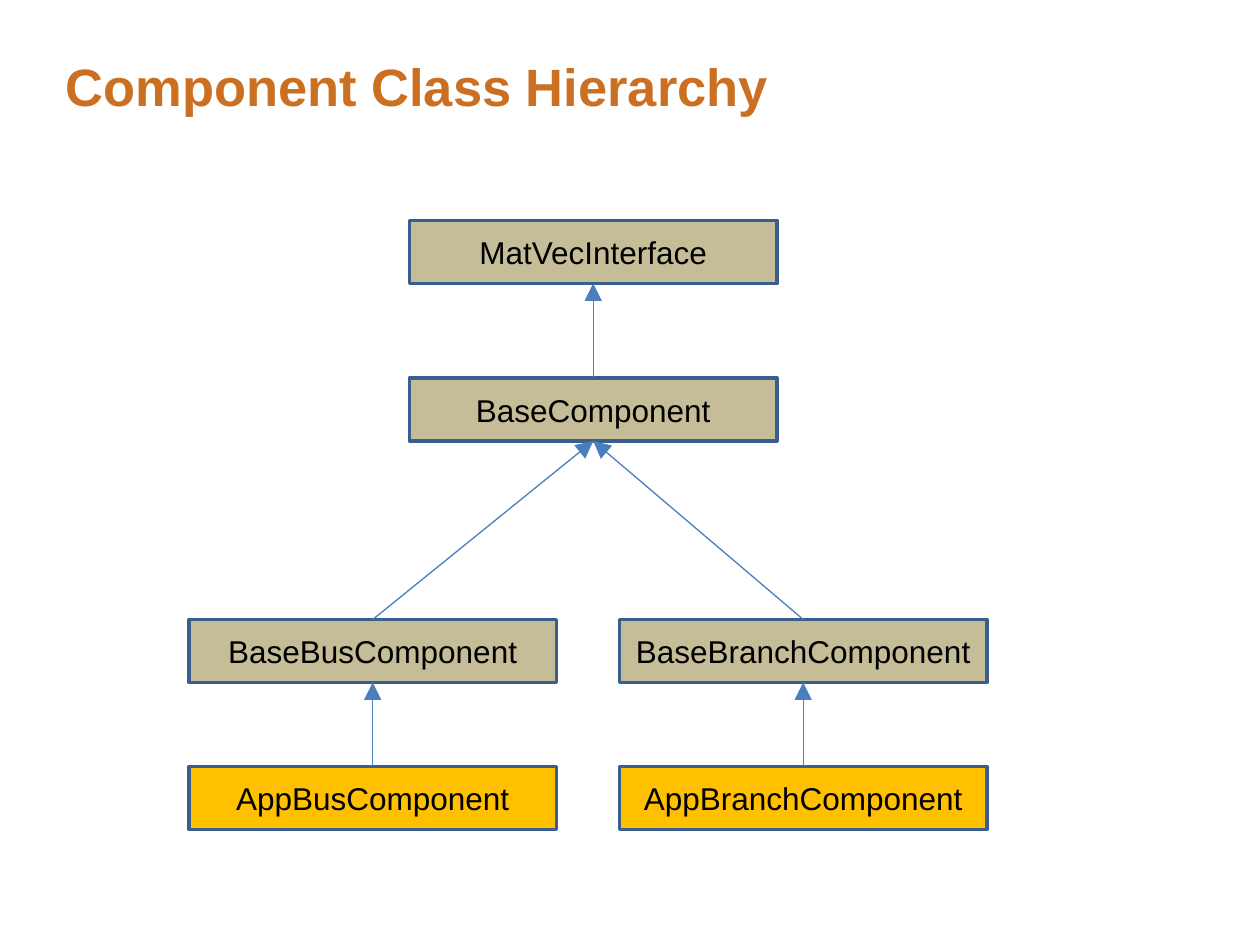
import dataclasses

import pptx
import pptx.dml.color
import pptx.enum.shapes
import pptx.enum.text
import pptx.oxml
import pptx.oxml.ns
import pptx.slide
import pptx.shapes.autoshape
import pptx.text.text
import pptx.util

Pt = pptx.util.Pt
HUES = {
    "title": "CB7023",
    "base": "C4BD97",
    "app": "FFC000",
    "edge": "3A5F8C",
    "arrow": "4B7EBC",
    "text": "000000",
}
WIDTH, HEIGHT = 210, 36
LEFT, MID, RIGHT = 108, 234, 354
TOP, BOTTOM = 0, 2


@dataclasses.dataclass
class Box:
    text: str
    left: float
    top: float
    fill: str
    parent: str = ""


BOXES = [
    Box("MatVecInterface", MID, 126, "base"),
    Box("BaseComponent", MID, 216, "base", "MatVecInterface"),
    Box("BaseBusComponent", LEFT, 354, "base", "BaseComponent"),
    Box("BaseBranchComponent", RIGHT, 354, "base", "BaseComponent"),
    Box("AppBusComponent", LEFT, 438, "app", "BaseBusComponent"),
    Box("AppBranchComponent", RIGHT, 438, "app", "BaseBranchComponent"),
]


def hue(name: str) -> pptx.dml.color.RGBColor:
    return pptx.dml.color.RGBColor.from_string(HUES[name])


def apply(target: object, values: dict) -> None:
    for key, value in values.items():
        setattr(target, key, value)


def write(line: pptx.text.text._Paragraph, text: str, size: float,
          color: str, bold: bool = False) -> None:
    run = line.add_run()
    run.text = text
    apply(run.font, {"name": "Arial", "size": Pt(size), "bold": bold})
    run.font.color.rgb = hue(color)


def draw_title(slide: pptx.slide.Slide, text: str) -> None:
    title = slide.shapes.title
    apply(title, {"left": Pt(37.5), "top": Pt(36.4), "width": Pt(646), "height": Pt(78)})
    frame = title.text_frame
    apply(frame, {
        "margin_left": 0, "margin_top": 0, "margin_right": 0, "margin_bottom": 0,
        "word_wrap": True,
        "auto_size": pptx.enum.text.MSO_AUTO_SIZE.NONE,
        "vertical_anchor": pptx.enum.text.MSO_ANCHOR.TOP,
    })
    line = frame.paragraphs[0]
    apply(line, {"alignment": pptx.enum.text.PP_ALIGN.LEFT, "line_spacing": 0.85})
    write(line, text, 30, "title", True)


def draw_box(slide: pptx.slide.Slide, box: Box) -> pptx.shapes.autoshape.Shape:
    shape = slide.shapes.add_shape(
        pptx.enum.shapes.MSO_SHAPE.RECTANGLE,
        Pt(box.left), Pt(box.top), Pt(WIDTH), Pt(HEIGHT))
    shape.shadow.inherit = False
    shape.fill.solid()
    shape.fill.fore_color.rgb = hue(box.fill)
    shape.line.color.rgb = hue("edge")
    shape.line.width = Pt(2)
    apply(shape.text_frame, {
        "word_wrap": True, "vertical_anchor": pptx.enum.text.MSO_ANCHOR.MIDDLE})
    line = shape.text_frame.paragraphs[0]
    line.alignment = pptx.enum.text.PP_ALIGN.CENTER
    write(line, box.text, 18, "text")
    return shape


def draw_arrow(slide: pptx.slide.Slide, child: pptx.shapes.autoshape.Shape,
               parent: pptx.shapes.autoshape.Shape) -> None:
    arrow = slide.shapes.add_connector(
        pptx.enum.shapes.MSO_CONNECTOR.STRAIGHT,
        child.left + child.width // 2, child.top,
        parent.left + parent.width // 2, parent.top + parent.height)
    arrow.begin_connect(child, TOP)
    arrow.end_connect(parent, BOTTOM)
    arrow.line.color.rgb = hue("arrow")
    arrow.line.width = Pt(0.75)
    space = pptx.oxml.ns.nsdecls("a")
    props = arrow._element.spPr
    props.get_or_add_ln().append(pptx.oxml.parse_xml(
        f'<a:tailEnd {space} type="triangle" w="lg" len="lg"/>'))
    props.append(pptx.oxml.parse_xml(f"<a:effectLst {space}/>"))


def main() -> None:
    deck = pptx.Presentation()
    apply(deck, {"slide_width": Pt(720), "slide_height": Pt(540)})
    slide = deck.slides.add_slide(deck.slide_layouts[5])
    draw_title(slide, "Component Class Hierarchy")
    shapes = {box.text: draw_box(slide, box) for box in BOXES}
    for box in BOXES:
        if box.parent:
            draw_arrow(slide, shapes[box.text], shapes[box.parent])
    deck.save("out.pptx")


if __name__ == "__main__":
    main()
